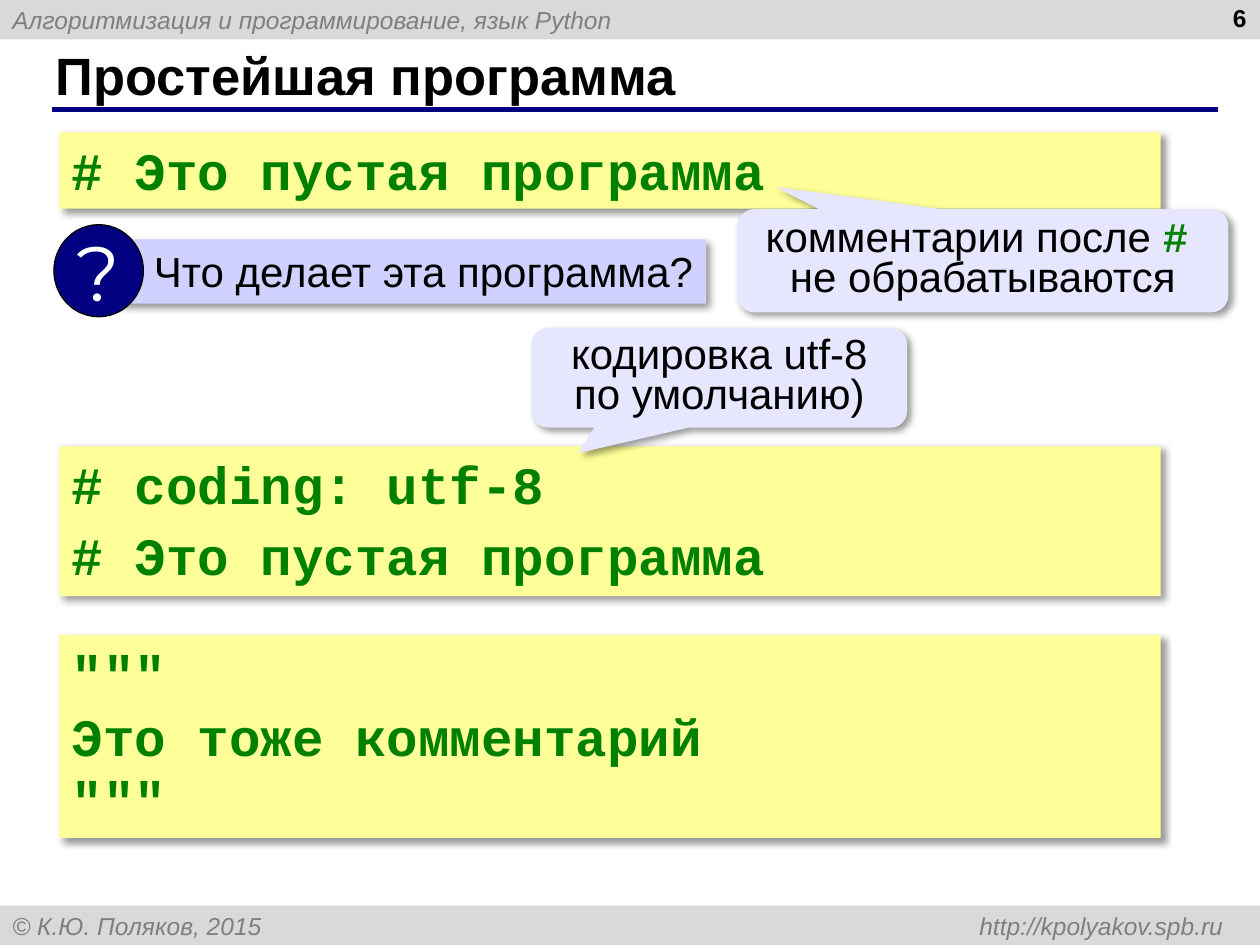
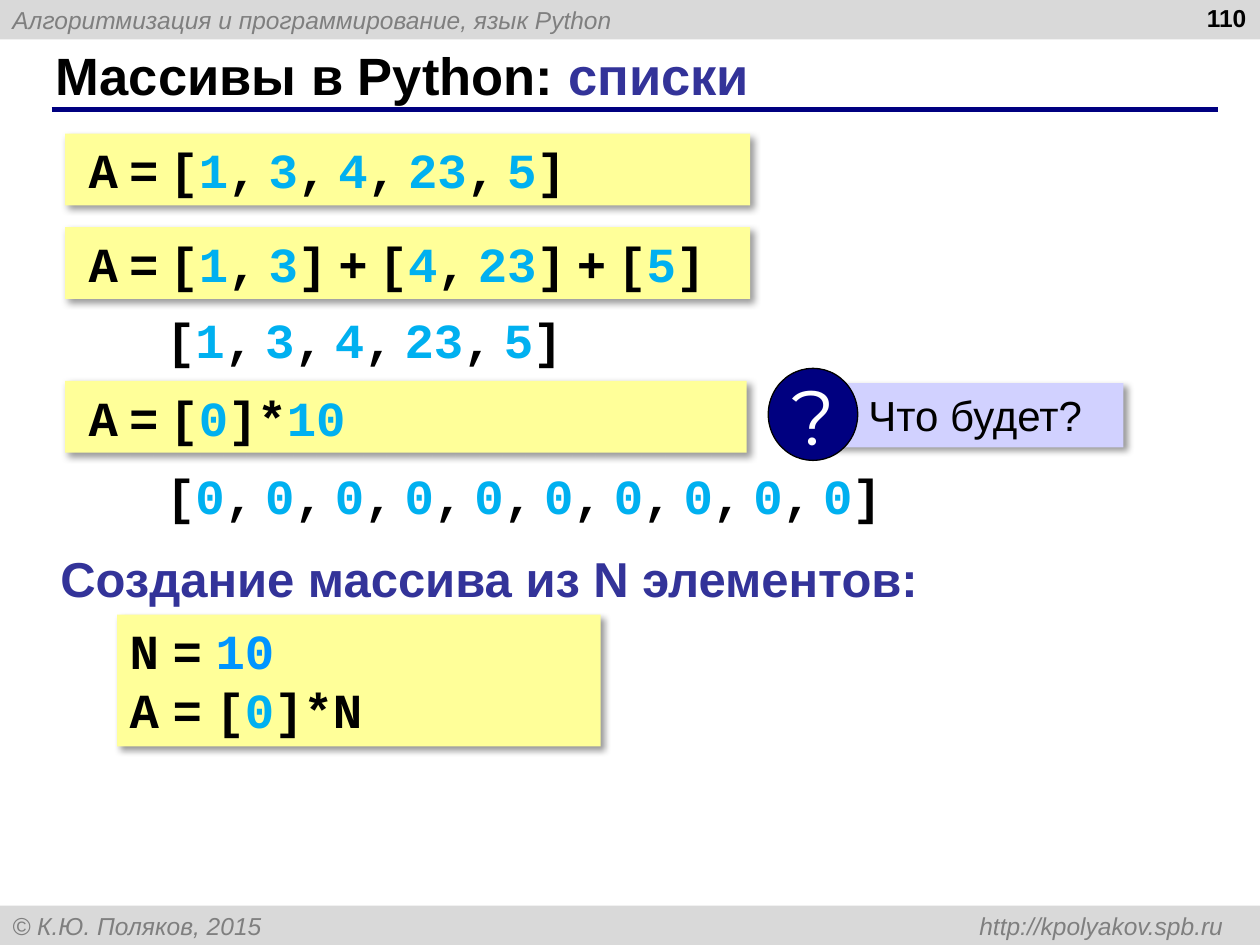
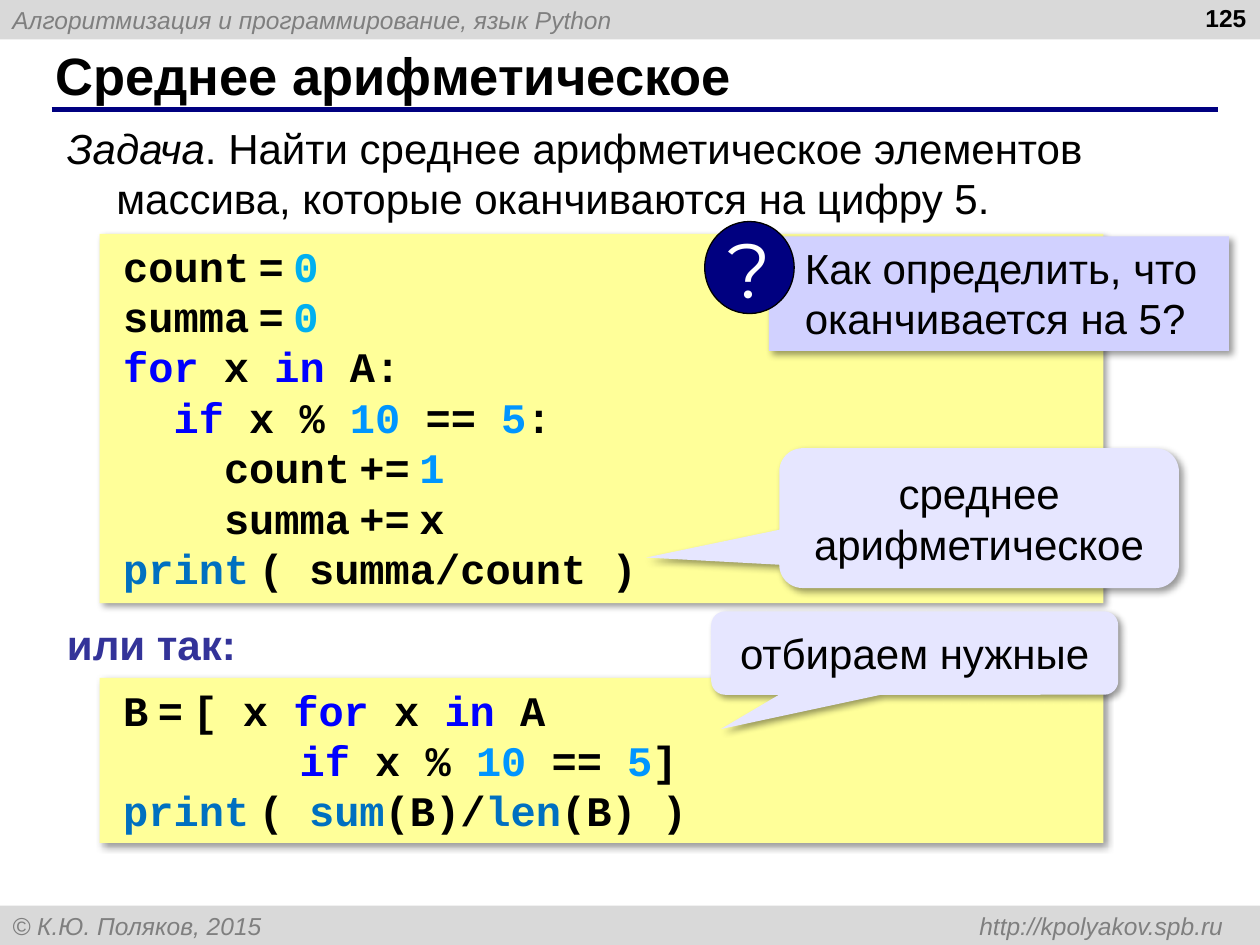
"""Build three slides of a Python programming course."""
from itertools import groupby

from lxml.etree import SubElement
from pptx import Presentation
from pptx.dml.color import RGBColor
from pptx.enum.shapes import MSO_CONNECTOR, MSO_SHAPE
from pptx.enum.text import MSO_ANCHOR, PP_ALIGN
from pptx.oxml.ns import qn
from pptx.util import Pt

COLOURS = {
    "black": "000000", "white": "FFFFFF", "band": "D9D9D9", "grey": "7F7F7F",
    "navy": "000080", "heading": "333399", "code": "FFFF99", "question": "D1D1FF",
    "callout": "E6E6FF", "comment": "008000", "keyword": "0000FF",
    "builtin": "0070C0", "cyan": "00B0F0", "azure": "0095FF",
}
WORDS = {"for": "keyword", "in": "keyword", "if": "keyword",
         "print": "builtin", "sum": "builtin", "len": "builtin"}
SANS, MONO, DISPLAY = "Arial", "Courier New", "Montserrat"
WIDTH, HEIGHT, BAND = 720, 540, 22.5
INSET, CODE_INSET, QUESTION_INSET = 7.2, 13.5, 20.5
LINE, TIGHT_LINE = 1.2, 0.96
NARROW_SPACE = "~"

COURSE = "Алгоритмизация и программирование, язык Python"
FOOTER = "© К.Ю. Поляков, 2015 \thttp://kpolyakov.spb.ru"

SLIDES = [
    {
        "number": "6",
        "title": [("Простейшая программа", "black")],
        "comments": [
            ((34, 75.6, 629.3, 43.7), ["# Это пустая программа"], 0),
            ((34, 255, 629.3, 85.7),
             ["# coding: utf-8", "# Это пустая программа"], 4.5),
            ((34, 362.9, 629.3, 115.9),
             ['"""', "Это тоже комментарий", '"""'], 0),
        ],
        "questions": [((67.5, 136.8, 336, 36.7), ["Что делает эта программа?"])],
        "callouts": [
            ((421.2, 119.5, 280.8, 59), (-0.422, -0.716), TIGHT_LINE,
             [("комментарии после ", {}),
              ("#", {"font": MONO, "colour": "comment", "bold": True}),
              (" ", {}), ("\n", {}), ("не обрабатываются", {})]),
            ((303.8, 187.4, 214.6, 57), (-0.376, 0.755), TIGHT_LINE,
             [("кодировка utf-8 по умолчанию)", {})]),
        ],
    },
    {
        "number": "110",
        "title": [("Массивы в Python: ", "black"), ("списки", "heading")],
        "code": [
            ((37.2, 76.4, 391.5, 41), 28, ["A~=~[1,~3,~4,~23,~5]"], {}),
            ((37.2, 129.8, 391.5, 41), 28, ["A~=~[1,~3]~+~[4,~23]~+~[5]"], {}),
            ((37.2, 217.7, 389.5, 41), 28, ["A~=~[0]*10"], {}),
            ((87.8, 173.5, 257.8, 41), 28, ["[1,~3,~4,~23,~5]"],
             {"fill": None, "left": INSET}),
            ((87.8, 262.3, 454.3, 41), 28, ["[" + ",~".join("0" * 10) + "]"],
             {"fill": None, "left": INSET}),
            ((67, 351.2, 276.2, 75.4), 28, ["N~=~10", "A~=~[0]*N"],
             {"left": INSET, "other_number": "azure", "gap": 1}),
        ],
        "headings": [((27.4, 310, 577.4, 41), 28, "Создание массива из N элементов:")],
        "questions": [((475.7, 218.9, 166.3, 36.7), ["Что будет?"])],
    },
    {
        "number": "125",
        "title": [("Среднее арифметическое", "black")],
        "task": ((31.2, 66.2, 671.8, 65.5), "Задача",
                 ". Найти среднее арифметическое элементов "
                 "массива, которые оканчиваются на цифру 5."),
        "code": [
            ((56.9, 133.7, 573.6, 211), 24,
             ["count~=~0", "summa~=~0", "for x in A:", "  if x % 10 == 5:",
              "    count~+=~1", "    summa~+=~x", "print~( summa/count )"],
             {"other_number": "azure"}),
            ((56.9, 387.4, 573.6, 94.3), 24,
             ["B~=~[ x for x in A", "       if x % 10 == 5]",
              "print~( sum(B)/len(B) )"],
             {"other_number": "azure"}),
        ],
        "headings": [((31.2, 349.9, 112.3, 36.7), 24, "или так:")],
        "questions": [((439.4, 135, 262.8, 65.5),
                       ["Как определить, что", "оканчивается на 5?"])],
        "callouts": [
            ((445.3, 256.1, 228.4, 79.9), (-0.833, 0.282), LINE,
             [("среднее арифметическое", {})]),
            ((406.4, 349.3, 232.6, 47.7), (-0.476, 0.911), LINE,
             [("отбираем нужные", {})]),
        ],
    },
]


def rgb(name):
    return RGBColor.from_string(COLOURS[name])


def add_span(para, text, size, colour="black", font=SANS, bold=False, italic=False):
    span = para.add_run()
    span.text = text
    span.font.size = Pt(size)
    span.font.name = font
    span.font.bold = bold
    span.font.italic = italic
    span.font.color.rgb = rgb(colour)


def add_box(page, place, fill=None, kind=MSO_SHAPE.RECTANGLE, shadow=True,
            left=INSET, anchor=MSO_ANCHOR.TOP):
    lengths = [Pt(length) for length in place]
    if fill:
        box = page.shapes.add_shape(kind, *lengths)
        box.fill.solid()
        box.fill.fore_color.rgb = rgb(fill)
        box.line.fill.background()
        box.shadow.inherit = False
        if shadow:
            add_shadow(box)
    else:
        box = page.shapes.add_textbox(*lengths)
    frame = box.text_frame
    frame.word_wrap = True
    frame.vertical_anchor = anchor
    frame.margin_left = Pt(left)
    frame.paragraphs[0].alignment = PP_ALIGN.LEFT
    return box


def add_shadow(box):
    effects = box.element.spPr.find(qn("a:effectLst"))
    outer = SubElement(effects, qn("a:outerShdw"), blurRad=str(Pt(4)), dist=str(Pt(3)),
                       dir="2700000", algn="tl", rotWithShape="0")
    colour = SubElement(outer, qn("a:srgbClr"), val=COLOURS["black"])
    SubElement(colour, qn("a:alpha"), val="40000")


def add_lines(box, lines, size, write, before=0):
    for index, text in enumerate(lines):
        frame = box.text_frame
        para = frame.add_paragraph() if index else frame.paragraphs[0]
        para.alignment = PP_ALIGN.LEFT
        para.line_spacing = Pt(size * LINE)
        if index and before:
            para.space_before = Pt(before)
        write(para, text)


def character_class(character):
    if character == NARROW_SPACE:
        return "gap"
    return "word" if character.isalnum() else "sign"


def add_code(page, place, size, lines, fill="code", left=CODE_INSET,
             other_number="cyan", gap=0.81):
    def write(para, text):
        for kind, characters in groupby(text, character_class):
            token = "".join(characters)
            colour = WORDS.get(token, "black")
            if token.isdigit():
                colour = "cyan" if token == "0" else other_number
            if kind == "gap":
                add_span(para, " ", size * gap, bold=True)
            else:
                add_span(para, token, size, colour, MONO, bold=True)

    add_lines(add_box(page, place, fill, left=left), lines, size, write)


def add_comment(page, place, lines, before):
    add_lines(add_box(page, place, "code"), lines, 30,
              lambda para, text: add_span(para, text, 30, "comment", MONO, bold=True),
              before)


def add_heading(page, place, size, heading):
    add_lines(add_box(page, place), [heading], size,
              lambda para, text: add_span(para, text, size, "heading", bold=True))


def add_question(page, place, lines):
    add_lines(add_box(page, place, "question", left=QUESTION_INSET), lines, 24,
              lambda para, text: add_span(para, text, 24))
    badge = add_box(page, (place[0] - 36.7, place[1] - 8.4, 51.1, 52.6), "navy",
                    MSO_SHAPE.OVAL, shadow=False, anchor=MSO_ANCHOR.MIDDLE)
    badge.line.color.rgb = rgb("black")
    badge.line.width = Pt(0.75)
    badge.text_frame.word_wrap = False
    para = badge.text_frame.paragraphs[0]
    para.alignment = PP_ALIGN.CENTER
    add_span(para, "?", 44, "white", DISPLAY)


def add_callout(page, place, tip, line, spans):
    box = add_box(page, place, "callout", MSO_SHAPE.ROUNDED_RECTANGULAR_CALLOUT,
                  anchor=MSO_ANCHOR.MIDDLE)
    for index, value in enumerate((*tip, 0.167)):
        box.adjustments[index] = value
    para = box.text_frame.paragraphs[0]
    para.alignment = PP_ALIGN.CENTER
    para.line_spacing = Pt(24 * line)
    for text, style in spans:
        if text == "\n":
            para.add_line_break()
        else:
            add_span(para, text, 24, **style)


def add_task(page, place, label, statement):
    para = add_box(page, place).text_frame.paragraphs[0]
    para.line_spacing = Pt(24 * LINE)
    properties = para._p.get_or_add_pPr()
    properties.set("marL", str(Pt(28.2)))
    properties.set("indent", str(-Pt(28.2)))
    add_span(para, label, 24, italic=True)
    add_span(para, statement, 24)


def add_frame(page, title, number):
    for top, text in ((0, COURSE), (HEIGHT - BAND, FOOTER)):
        band = add_box(page, (0, top, WIDTH, BAND), "band", shadow=False,
                       anchor=MSO_ANCHOR.MIDDLE)
        para = band.text_frame.paragraphs[0]
        if "\t" in text:
            tabs = SubElement(para._p.get_or_add_pPr(), qn("a:tabLst"))
            SubElement(tabs, qn("a:tab"), pos=str(Pt(692)), algn="r")
        add_span(para, text, 14, "grey", italic=True)

    rule = page.shapes.add_connector(MSO_CONNECTOR.STRAIGHT, Pt(29.5), Pt(62.5),
                                     Pt(696), Pt(62.5))
    rule.line.color.rgb = rgb("navy")
    rule.line.width = Pt(3)
    SubElement(rule.element.spPr, qn("a:effectLst"))

    heading = page.shapes.title
    heading.left, heading.top, heading.width, heading.height = map(
        Pt, (24.5, 23.8, 659.5, 37.4))
    heading.text_frame.vertical_anchor = MSO_ANCHOR.MIDDLE
    para = heading.text_frame.paragraphs[0]
    para.alignment = PP_ALIGN.LEFT
    for text, colour in title:
        add_span(para, text, 30, colour, bold=True)

    corner = add_box(page, (551.5, 0, 167.8, 22))
    corner.text_frame.margin_top = Pt(1.7)
    para = corner.text_frame.paragraphs[0]
    para.alignment = PP_ALIGN.RIGHT
    add_span(para, number, 14, bold=True)


def main():
    deck = Presentation()
    deck.slide_width, deck.slide_height = Pt(WIDTH), Pt(HEIGHT)
    for content in SLIDES:
        page = deck.slides.add_slide(deck.slide_layouts[5])
        add_frame(page, content["title"], content["number"])
        if "task" in content:
            add_task(page, *content["task"])
        for place, size, lines, style in content.get("code", []):
            add_code(page, place, size, lines, **style)
        for kind, add in (("comments", add_comment), ("headings", add_heading),
                          ("questions", add_question), ("callouts", add_callout)):
            for item in content.get(kind, []):
                add(page, *item)
    deck.save("out.pptx")


if __name__ == "__main__":
    main()
